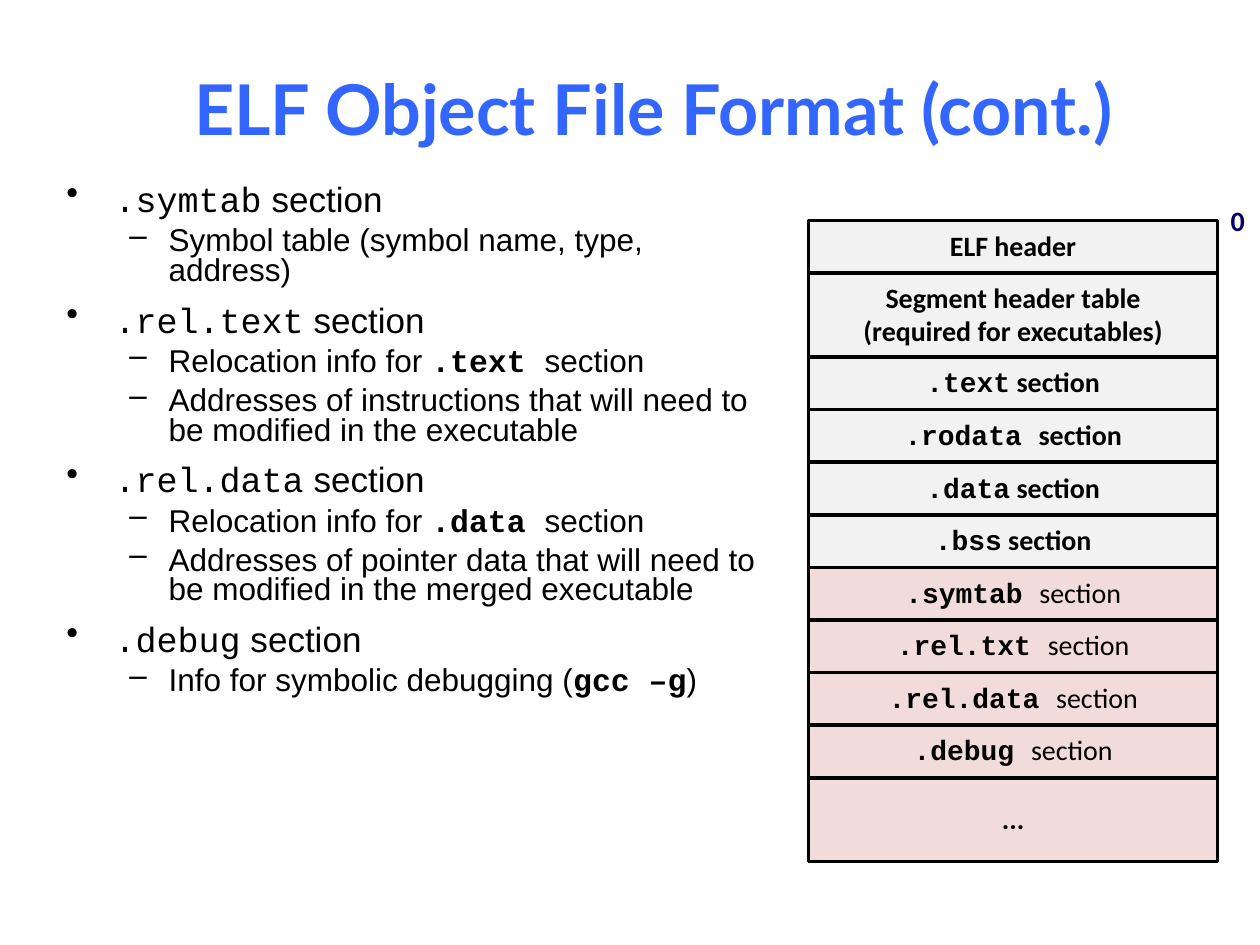
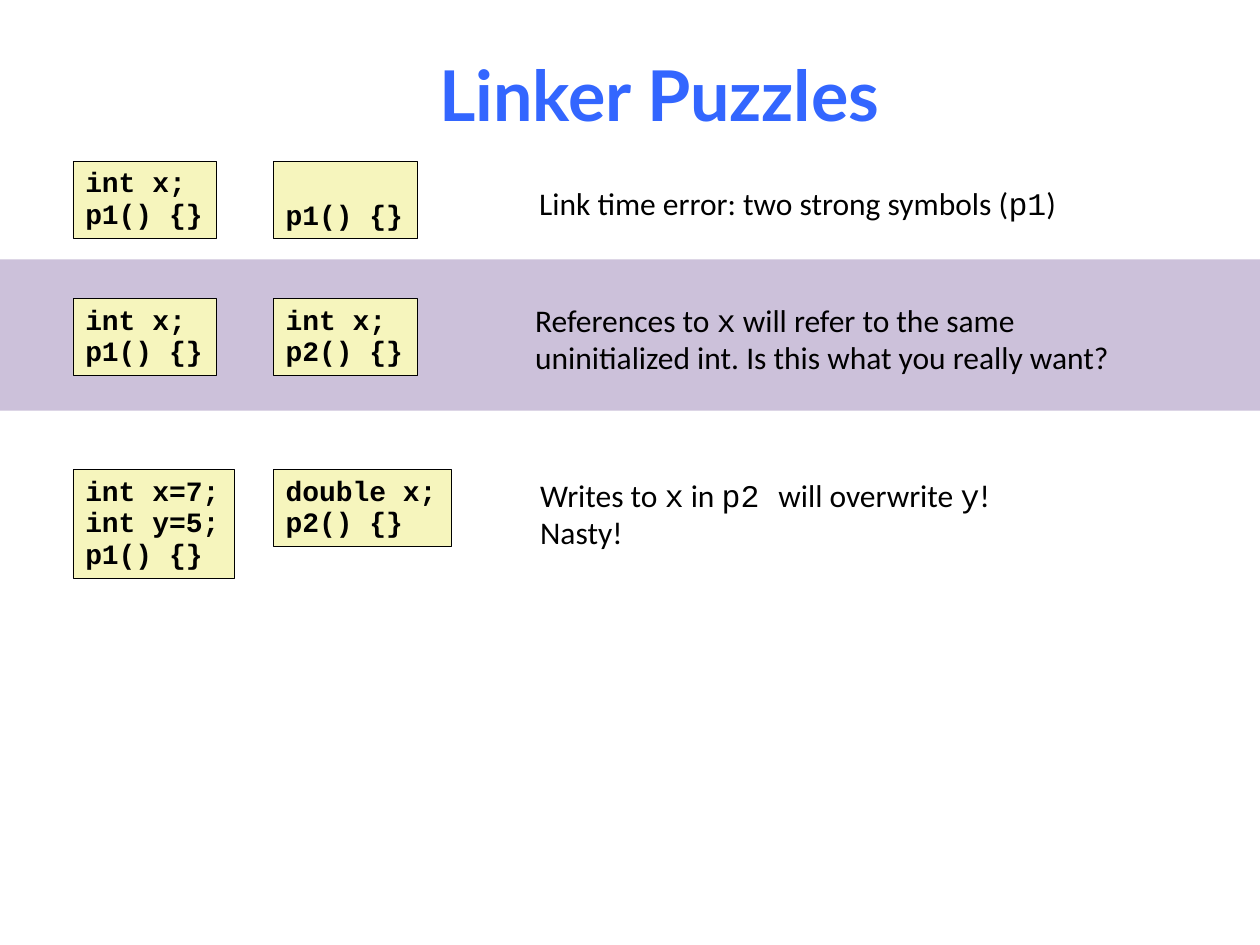
from dataclasses import dataclass

from lxml.etree import SubElement
from pptx import Presentation
from pptx.dml.color import RGBColor as Rgb
from pptx.enum.shapes import MSO_SHAPE as Shape
from pptx.enum.text import MSO_ANCHOR as Anchor, PP_ALIGN as Align
from pptx.oxml.ns import qn
from pptx.util import Cm, Pt


@dataclass(frozen=True)
class Theme:
    title: Rgb = Rgb(0x33, 0x66, 0xFF)
    ink: Rgb = Rgb(0, 0, 0)
    offset: Rgb = Rgb(0, 0, 0x66)
    loaded: Rgb = Rgb(0xF2, 0xF2, 0xF2)
    highlighted: Rgb = Rgb(0xF2, 0xDC, 0xDB)
    code_fill: Rgb = Rgb(0xF6, 0xF5, 0xBD)
    band: Rgb = Rgb(0xCC, 0xC1, 0xDA)
    title_font: str = "Lato"
    body_font: str = "Arial"
    label_font: str = "Calibri"
    code_font: str = "Courier New"
    title_size: int = 40
    topic_size: int = 20
    text_size: int = 18
    label_size: int = 16


THEME = Theme()

# Text between backticks is set in the code font.
TOPICS = [
    ("`.symtab` section", ["Symbol table (symbol name, type, address)"]),
    ("`.rel.text` section", [
        "Relocation info for `.text `section",
        "Addresses of instructions that will need to be modified in the executable",
    ]),
    ("`.rel.data` section", [
        "Relocation info for `.data `section",
        "Addresses of pointer data that will need to be modified in the merged executable",
    ]),
    ("`.debug` section", ["Info for symbolic debugging (`gcc –g`)"]),
]

# Lines, height in cm, whether highlighted, whether plain text is bold
ROW, TALL_ROW = 1.06, 1.69
SECTIONS = [
    (["ELF header"], ROW, False, True),
    (["Segment header table", "(required for executables)"], TALL_ROW, False, True),
    (["`.text` section"], ROW, False, True),
    (["`.rodata `section"], ROW, False, True),
    (["`.data` section"], ROW, False, True),
    (["`.bss` section"], ROW, False, True),
    (["`.symtab `section"], ROW, True, False),
    (["`.rel.txt `section"], ROW, True, False),
    (["`.rel.data `section"], ROW, True, False),
    (["`.debug `section"], ROW, True, False),
    (["..."], TALL_ROW, True, True),
]

# Top of the code, two modules as (lines, width, height), answer as (left, top, lines)
PUZZLES = [
    (3.25, [(["int x;", "p1() {}"], 2.9, 1.55), (["p1() {}"], 2.9, 1.55)],
     (10.62, 3.63, ["Link time error: two strong symbols (`p1`)"])),
    (6.02, [(["int x;", "p1() {}"], 2.9, 1.55), (["int x;", "p2() {}"], 2.9, 1.55)],
     (10.54, 5.99, ["References to `x` will refer to the same",
                    "uninitialized int. Is this what you really want?"])),
    (9.47, [(["int x=7;", "int y=5;", "p1() {}"], 3.25, 2.18),
            (["double x;", "p2() {}"], 3.58, 1.55)],
     (10.64, 9.5, ["Writes to `x` in `p2 `will overwrite `y`!", "Nasty!"])),
]
MODULE_LEFTS = (1.47, 5.51)


def write_spans(para, text, size, font, bold=False, code_bold=False, color=THEME.ink):
    """Write text whose backticked parts use the code font."""
    for index, part in enumerate(text.split("`")):
        if not part:
            continue
        is_code = index % 2 == 1
        span = para.add_run()
        span.text = part
        span.font.size = Pt(size)
        span.font.name = THEME.code_font if is_code else font
        span.font.bold = code_bold if is_code else bold
        span.font.color.rgb = color


def write_lines(frame, lines, spacing, align=Align.LEFT, **style):
    for index, line in enumerate(lines):
        para = frame.add_paragraph() if index else frame.paragraphs[0]
        para.alignment = align
        para.line_spacing = spacing
        write_spans(para, line, **style)


def add_text_box(page, left, top, width, height):
    box = page.shapes.add_textbox(Cm(left), Cm(top), Cm(width), Cm(height))
    box.text_frame.word_wrap = True
    return box.text_frame


def add_rect(page, left, top, width, height, fill, line_width=None):
    rect = page.shapes.add_shape(
        Shape.RECTANGLE, Cm(left), Cm(top), Cm(width), Cm(height))
    rect.shadow.inherit = False
    rect.fill.solid()
    rect.fill.fore_color.rgb = fill
    if line_width:
        rect.line.color.rgb = THEME.ink
        rect.line.width = Pt(line_width)
    else:
        rect.line.fill.background()
    return rect.text_frame


def add_title(page, text, left, top):
    frame = add_text_box(page, left, top, 24.2, 2.18)
    frame.vertical_anchor = Anchor.MIDDLE
    write_lines(frame, [text], 1.0, Align.CENTER, size=THEME.title_size,
                font=THEME.title_font, bold=True, color=THEME.title)


def set_bullet(para, char, margin, hanging):
    properties = para._p.get_or_add_pPr()
    properties.set("marL", str(Cm(margin)))
    properties.set("indent", str(-Cm(hanging)))
    SubElement(properties, qn("a:buChar")).set("char", char)


def add_topics(page):
    frame = add_text_box(page, 1.09, 3.68, 14.66, 15.19)
    for index, (topic, details) in enumerate(TOPICS):
        para = frame.add_paragraph() if index else frame.paragraphs[0]
        set_bullet(para, "•", 0.97, 0.97)
        para.line_spacing = 0.71
        para.space_before = Pt(12.5 if index else 0)
        write_spans(para, topic, THEME.topic_size, THEME.body_font)
        for detail in details:
            para = frame.add_paragraph()
            para.level = 1
            set_bullet(para, "–", 2.06, 0.79)
            para.line_spacing = 0.78
            para.space_before = Pt(5.6)
            write_spans(para, detail, THEME.text_size, THEME.body_font, code_bold=True)


def add_section_stack(page, left, top, width):
    for lines, height, highlighted, bold in SECTIONS:
        fill = THEME.highlighted if highlighted else THEME.loaded
        frame = add_rect(page, left, top, width, height, fill, 2)
        frame.vertical_anchor = Anchor.MIDDLE
        spacing = 0.94 if "`" in lines[0] else 0.98
        write_lines(frame, lines, spacing, Align.CENTER, size=THEME.label_size,
                    font=THEME.label_font, bold=bold, code_bold=True)
        top += height


def add_module(page, left, top, lines, width, height):
    frame = add_rect(page, left, top, width, height, THEME.code_fill, 0.25)
    frame.margin_right = 0
    # A lone function lines up with the last line of its neighbour.
    frame.vertical_anchor = Anchor.BOTTOM if len(lines) == 1 else Anchor.TOP
    write_lines(frame, lines, 0.94, size=THEME.label_size,
                font=THEME.code_font, bold=True)


def add_puzzle(page, top, modules, answer):
    for left, module in zip(MODULE_LEFTS, modules):
        add_module(page, left, top, *module)
    answer_left, answer_top, lines = answer
    frame = add_text_box(page, answer_left, answer_top, 12.4, 0.24 + 0.77 * len(lines))
    write_lines(frame, lines, 0.98, size=THEME.text_size, font=THEME.label_font)


def build_format_page(page):
    add_title(page, "ELF Object File Format (cont.)", 1.07, 1.07)
    add_topics(page)
    add_section_stack(page, 16.3, 4.45, 8.25)
    offset = add_text_box(page, 24.56, 4.02, 0.82, 0.94)
    write_lines(offset, ["0"], 0.98, size=THEME.label_size, font=THEME.label_font,
                bold=True, color=THEME.offset)


def build_puzzle_page(page):
    add_rect(page, 0, 5.23, 25.4, 3.05, THEME.band)
    add_title(page, "Linker Puzzles", 1.19, 0.79)
    for puzzle in PUZZLES:
        add_puzzle(page, *puzzle)


def main():
    deck = Presentation()
    deck.slide_width, deck.slide_height = Cm(25.4), Cm(19.05)
    blank = deck.slide_layouts[6]
    for build in (build_format_page, build_puzzle_page):
        build(deck.slides.add_slide(blank))
    deck.save("out.pptx")


if __name__ == "__main__":
    main()
